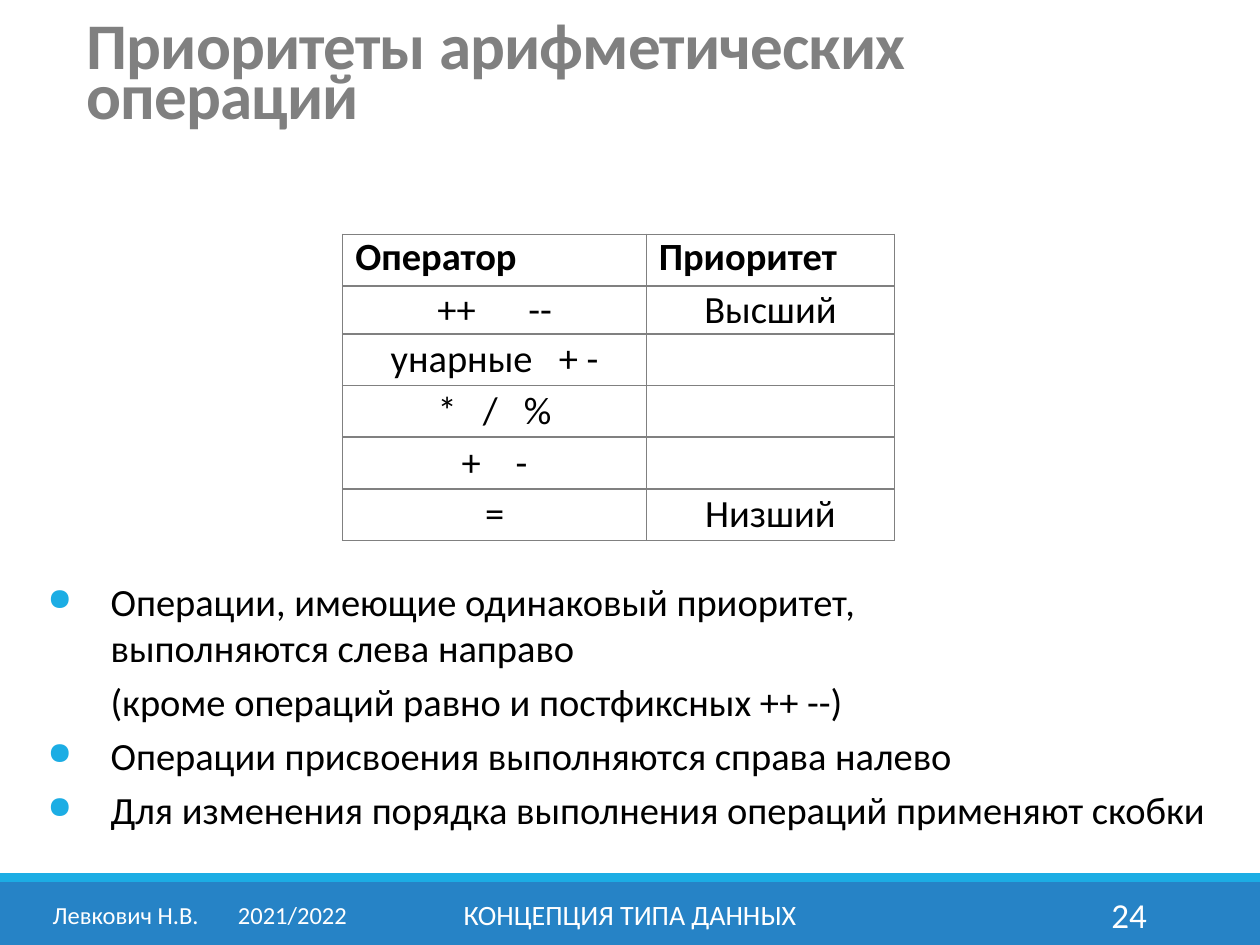
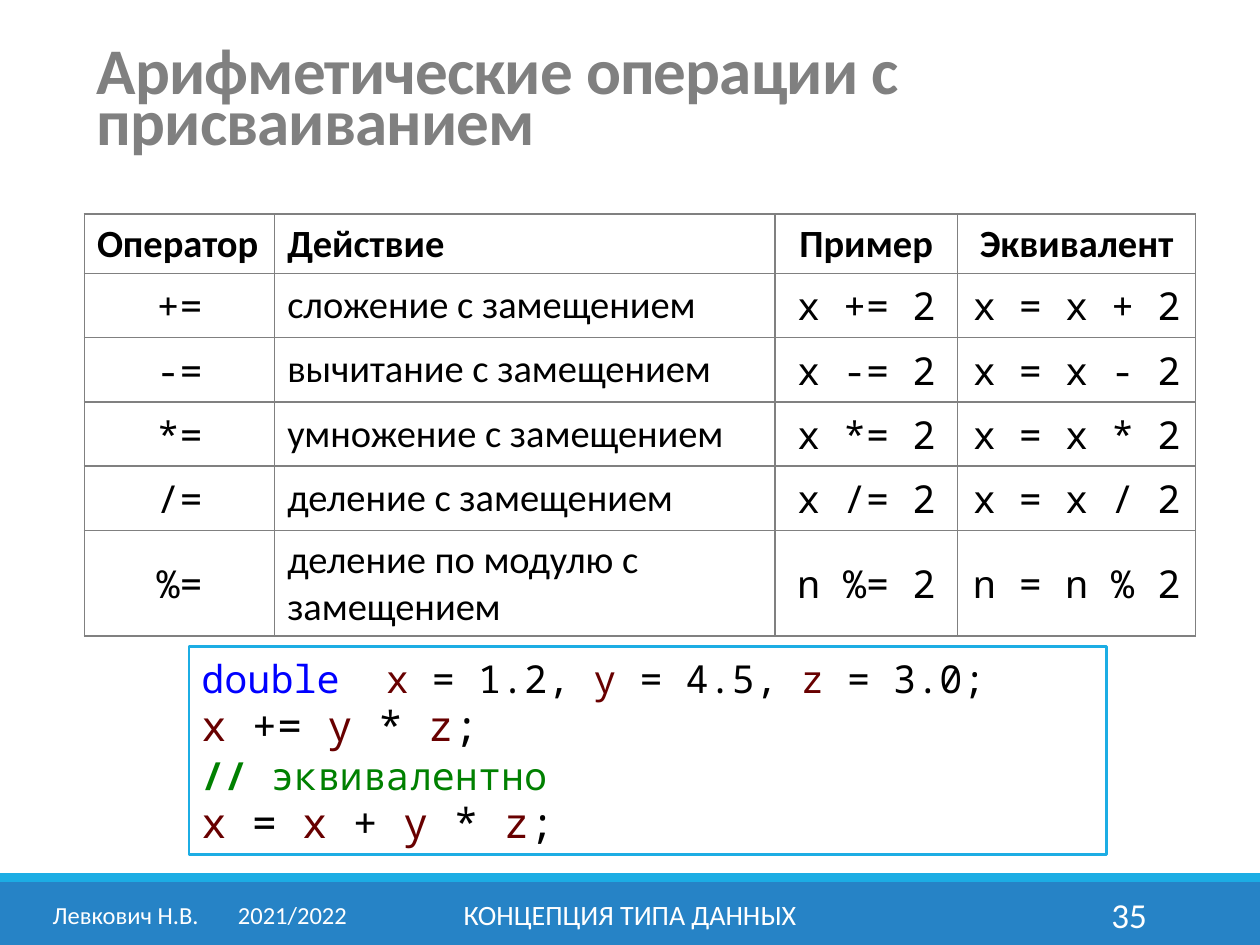
from lxml.etree import SubElement
from pptx import Presentation
from pptx.dml.color import RGBColor
from pptx.enum.shapes import MSO_SHAPE
from pptx.enum.text import MSO_ANCHOR, PP_ALIGN
from pptx.oxml.ns import qn
from pptx.util import Inches, Pt

# Shared style
WIDTH, HEIGHT = 10, 7.5
SANS, MONO = "Calibri", "Noto Sans Mono"
BLACK, WHITE, GREY = "000000", "FFFFFF", "808080"
BLUE, CYAN = "2683C6", "1CADE4"
KEYWORD, NAME, COMMENT = "0000FF", "680000", "008000"
LEFT, CENTER, RIGHT = PP_ALIGN.LEFT, PP_ALIGN.CENTER, PP_ALIGN.RIGHT
BODY_SIZE = 22
BAND_TOP = 7
STRIPE_HEIGHT = 0.07
FOOTER_TOP, FOOTER_HEIGHT = 7.06, 0.4

# Footer: left, width, text, size, alignment
COURSE = (3.02, 3.96, "КОНЦЕПЦИЯ ТИПА ДАННЫХ", 16, CENTER)
AUTHOR = (0.32, 2.61, "Левкович Н.В.\t2021/2022", 14, LEFT)
YEAR_TAB = 1.47

# Slide content; a number between operators is the gap between them in points
PRIORITIES = {
    "title": "Приоритеты арифметических операций",
    "title_at": (0.59, 0.16, 8.92, 0.94),
    "number": "24",
    "table_at": (2.72, 1.86),
    "columns": [2.41, 1.97],
    "rows": [0.41, 0.38] + [0.41] * 4,
    "cells": [
        (["Оператор"], ["Приоритет"]),
        (["++", 25, "--"], ["Высший"]),
        (["унарные", 10, "+ -"], []),
        (["*", 10, "/", 10, "%"], []),
        (["+", 15, "-"], []),
        (["="], ["Низший"]),
    ],
}
RULES = [
    (True, ["Операции, имеющие одинаковый приоритет,", "выполняются слева направо"]),
    (False, ["(кроме операций равно и постфиксных ++ --)"]),
    (True, ["Операции присвоения выполняются справа налево"]),
    (True, ["Для изменения порядка выполнения операций применяют скобки"]),
]

ASSIGNMENTS = {
    "title": "Арифметические операции с присваиванием",
    "title_at": (0.67, 0.36, 8.84, 0.94),
    "number": "35",
    "table_at": (0.67, 1.7),
    "columns": [1.51, 3.97, 1.45, 1.89],
    "rows": [0.47] + [0.51] * 4 + [0.84],
    "headings": ("Оператор", "Действие", "Пример", "Эквивалент"),
    "operations": [
        ("x", "+", "сложение с замещением"),
        ("x", "-", "вычитание с замещением"),
        ("x", "*", "умножение с замещением"),
        ("x", "/", "деление с замещением"),
        ("n", "%", "деление по модулю с замещением"),
    ],
}
CODE = [
    (22, [("double  ", KEYWORD), ("x", NAME), (" = 1.2, ", BLACK), ("y", NAME),
          (" = 4.5, ", BLACK), ("z", NAME), (" = 3.0;", BLACK)]),
    (24, [("x", NAME), (" += ", BLACK), ("y ", NAME), ("* ", BLACK),
          ("z", NAME), (";", BLACK)]),
    (22, [("// ", COMMENT), ("эквивалентно", COMMENT)]),
    (24, [("x ", NAME), ("= ", BLACK), ("x ", NAME), ("+ ", BLACK),
          ("y ", NAME), ("* ", BLACK), ("z", NAME), (";", BLACK)]),
]


def rgb(code):
    return RGBColor.from_string(code)


def add_run(paragraph, text, size=BODY_SIZE, color=BLACK, font=SANS, bold=False,
            spacing=None):
    run = paragraph.add_run()
    run.text = text
    run.font.size, run.font.name, run.font.bold = Pt(size), font, bold
    run.font.color.rgb = rgb(color)
    if spacing is not None:
        run.font._element.set("spc", str(round(spacing * 100)))


def add_box(slide, at, anchor=MSO_ANCHOR.TOP):
    frame = slide.shapes.add_textbox(*map(Inches, at)).text_frame
    frame.word_wrap = True
    frame.vertical_anchor = anchor
    return frame


def add_rect(slide, at, fill=None, line=None):
    rect = slide.shapes.add_shape(MSO_SHAPE.RECTANGLE, *map(Inches, at))
    rect.shadow.inherit = False
    if fill:
        rect.fill.solid()
        rect.fill.fore_color.rgb = rgb(fill)
    else:
        rect.fill.background()
    if line:
        rect.line.color.rgb = rgb(line)
        rect.line.width = Pt(1.5)
    else:
        rect.line.fill.background()
    return rect


def add_tab(paragraph, position):
    tabs = SubElement(paragraph._p.get_or_add_pPr(), qn("a:tabLst"))
    SubElement(tabs, qn("a:tab"), pos=str(Inches(position)), algn="l")


def add_bullet(props):
    color = SubElement(props, qn("a:buClr"))
    SubElement(color, qn("a:srgbClr"), val=CYAN)
    SubElement(props, qn("a:buSzPct"), val="80000")
    SubElement(props, qn("a:buChar"), char="●")


# Bands, footer and title of every slide
def start_slide(deck, content):
    slide = deck.slides.add_slide(deck.slide_layouts[6])
    add_rect(slide, (0, BAND_TOP, WIDTH, HEIGHT - BAND_TOP), BLUE)
    add_rect(slide, (0, BAND_TOP - STRIPE_HEIGHT, WIDTH, STRIPE_HEIGHT), CYAN)
    number = (8.12, 1.08, content["number"], 20, RIGHT)
    for left, width, text, size, align in (COURSE, number, AUTHOR):
        at = (left, FOOTER_TOP, width, FOOTER_HEIGHT)
        paragraph = add_box(slide, at, MSO_ANCHOR.MIDDLE).paragraphs[0]
        paragraph.alignment = align
        if "\t" in text:
            add_tab(paragraph, YEAR_TAB)
        add_run(paragraph, text, size, WHITE)
    title = add_box(slide, content["title_at"], MSO_ANCHOR.MIDDLE).paragraphs[0]
    title.line_spacing = 0.65
    add_run(title, content["title"], 37.2, GREY, bold=True, spacing=-0.5)
    return slide


# White table with a thin grey grid
def add_grid(slide, content):
    columns, rows = content["columns"], content["rows"]
    size = (sum(columns), sum(rows))
    table = slide.shapes.add_table(len(rows), len(columns),
                                   *map(Inches, content["table_at"] + size)).table
    table.first_row = table.horz_banding = False
    for column, width in zip(table.columns, columns):
        column.width = Inches(width)
    for row, height in zip(table.rows, rows):
        row.height = Inches(height)
    for cell in table.iter_cells():
        props = cell._tc.get_or_add_tcPr()
        for side in ("lnL", "lnR", "lnT", "lnB"):
            border = SubElement(props, qn("a:" + side), w=str(Pt(1)))
            fill = SubElement(border, qn("a:solidFill"))
            SubElement(fill, qn("a:srgbClr"), val=GREY)
        cell.fill.solid()
        cell.fill.fore_color.rgb = rgb(WHITE)
        cell.vertical_anchor = MSO_ANCHOR.MIDDLE
    return table


def build_priorities(deck):
    slide = start_slide(deck, PRIORITIES)
    table = add_grid(slide, PRIORITIES)
    for r, row in enumerate(PRIORITIES["cells"]):
        for c, parts in enumerate(row):
            cell = table.cell(r, c)
            cell.margin_top = cell.margin_bottom = 0
            if r == 0:
                cell.vertical_anchor = MSO_ANCHOR.TOP
            paragraph = cell.text_frame.paragraphs[0]
            paragraph.alignment = CENTER if r else LEFT
            for part in parts:
                if isinstance(part, str):
                    add_run(paragraph, part, bold=r == 0)
                else:
                    add_run(paragraph, " ", spacing=part)

    # Rules below the table
    frame = add_box(slide, (0.28, 4.54, 9.53, 2.17))
    for i, (bulleted, lines) in enumerate(RULES):
        paragraph = frame.add_paragraph() if i else frame.paragraphs[0]
        if i:
            paragraph.space_before = Pt(0.2 * BODY_SIZE)
        props = paragraph._p.get_or_add_pPr()
        props.set("marL", str(Inches(0.5)))
        props.set("indent", str(Inches(-0.5 if bulleted else 0)))
        if bulleted:
            add_bullet(props)
        for n, line in enumerate(lines):
            if n:
                paragraph.add_line_break()
            add_run(paragraph, line)


def build_assignments(deck):
    slide = start_slide(deck, ASSIGNMENTS)
    table = add_grid(slide, ASSIGNMENTS)
    rows = [ASSIGNMENTS["headings"]]
    for name, sign, action in ASSIGNMENTS["operations"]:
        rows.append((f"{sign}=", action, f"{name} {sign}= 2",
                     f"{name} = {name} {sign} 2"))
    for r, row in enumerate(rows):
        for c, text in enumerate(row):
            paragraph = table.cell(r, c).text_frame.paragraphs[0]
            left = c == 1 or (r, c) == (0, 0)
            paragraph.alignment = LEFT if left else CENTER
            font = SANS if r == 0 or c == 1 else MONO
            add_run(paragraph, text, font=font, bold=r == 0)

    # Code example
    frame = add_rect(slide, (1.5, 5.13, 7.28, 1.65), line=CYAN).text_frame
    frame.word_wrap = True
    frame.vertical_anchor = MSO_ANCHOR.TOP
    for i, (size, tokens) in enumerate(CODE):
        paragraph = frame.add_paragraph() if i else frame.paragraphs[0]
        paragraph.alignment = LEFT
        paragraph.line_spacing = Pt(27.8)
        for text, color in tokens:
            add_run(paragraph, text, size, color, MONO, bold=text == "// ")


def main():
    deck = Presentation()
    deck.slide_width, deck.slide_height = Inches(WIDTH), Inches(HEIGHT)
    build_priorities(deck)
    build_assignments(deck)
    deck.save("out.pptx")


if __name__ == "__main__":
    main()
